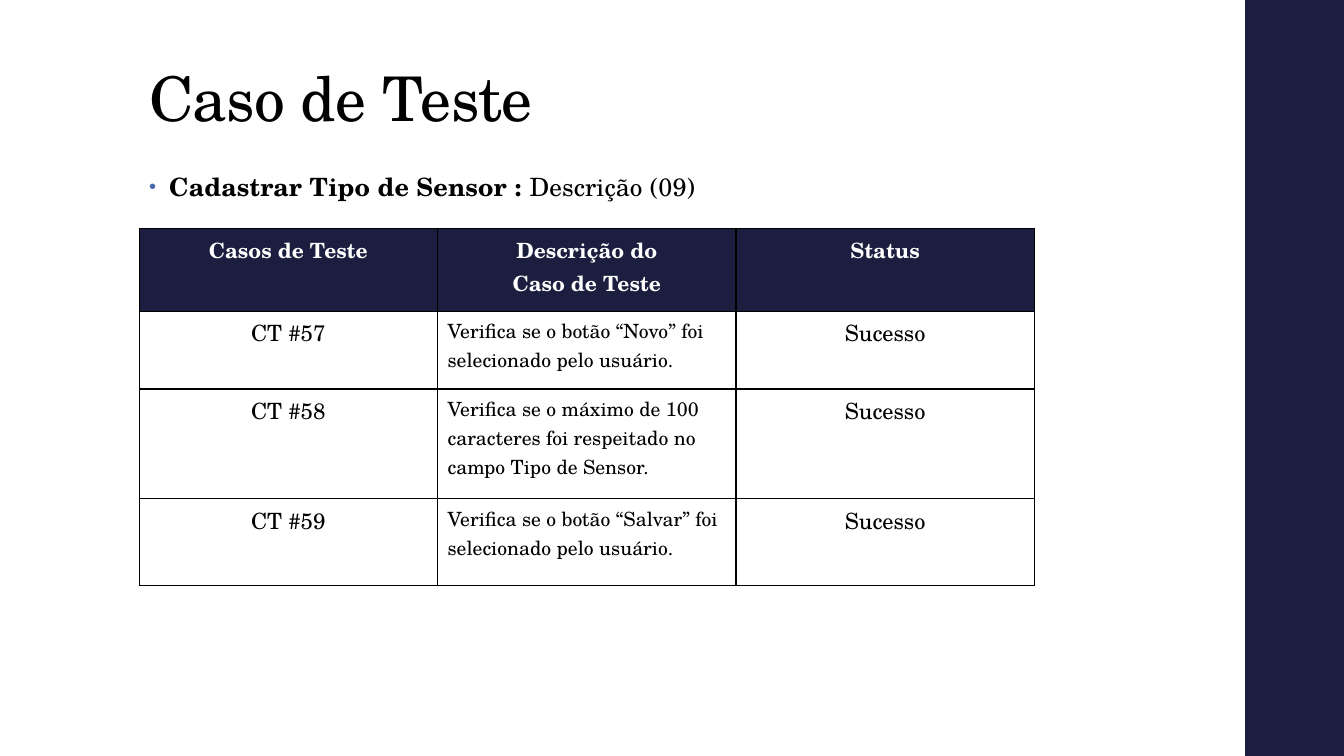
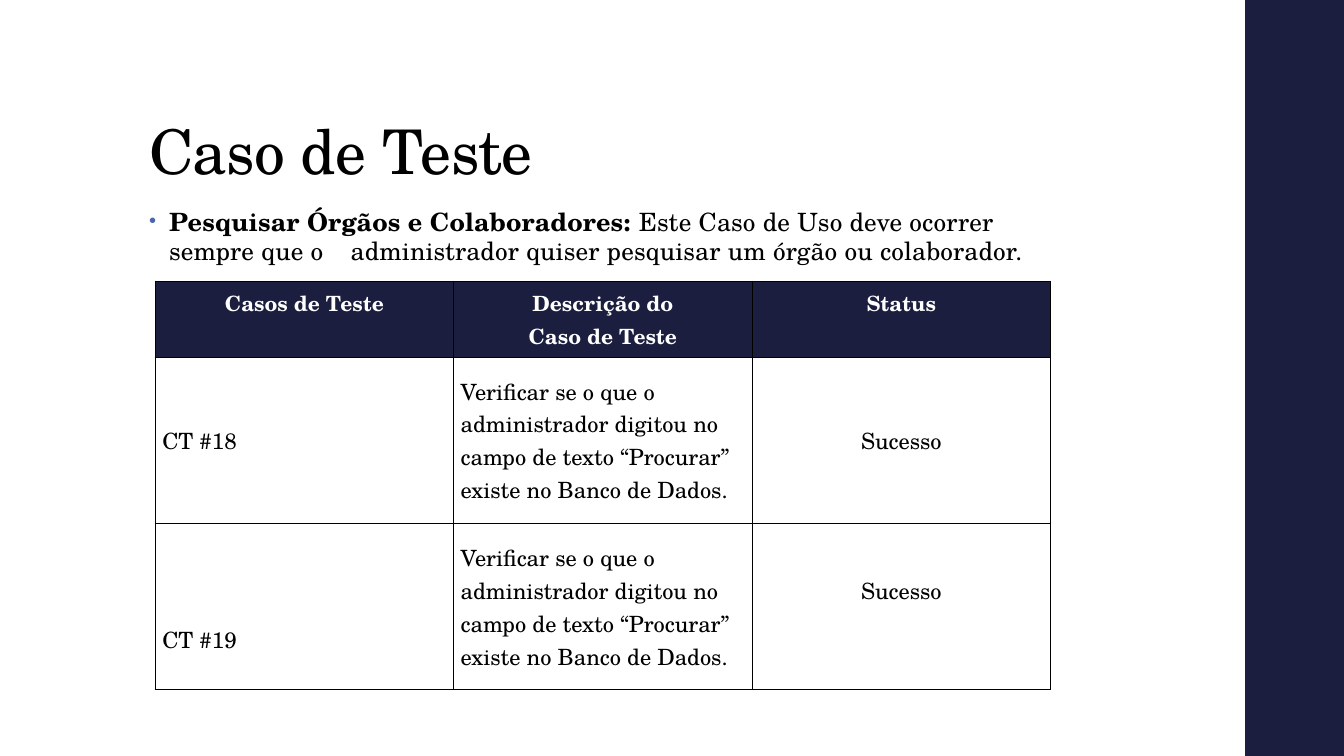
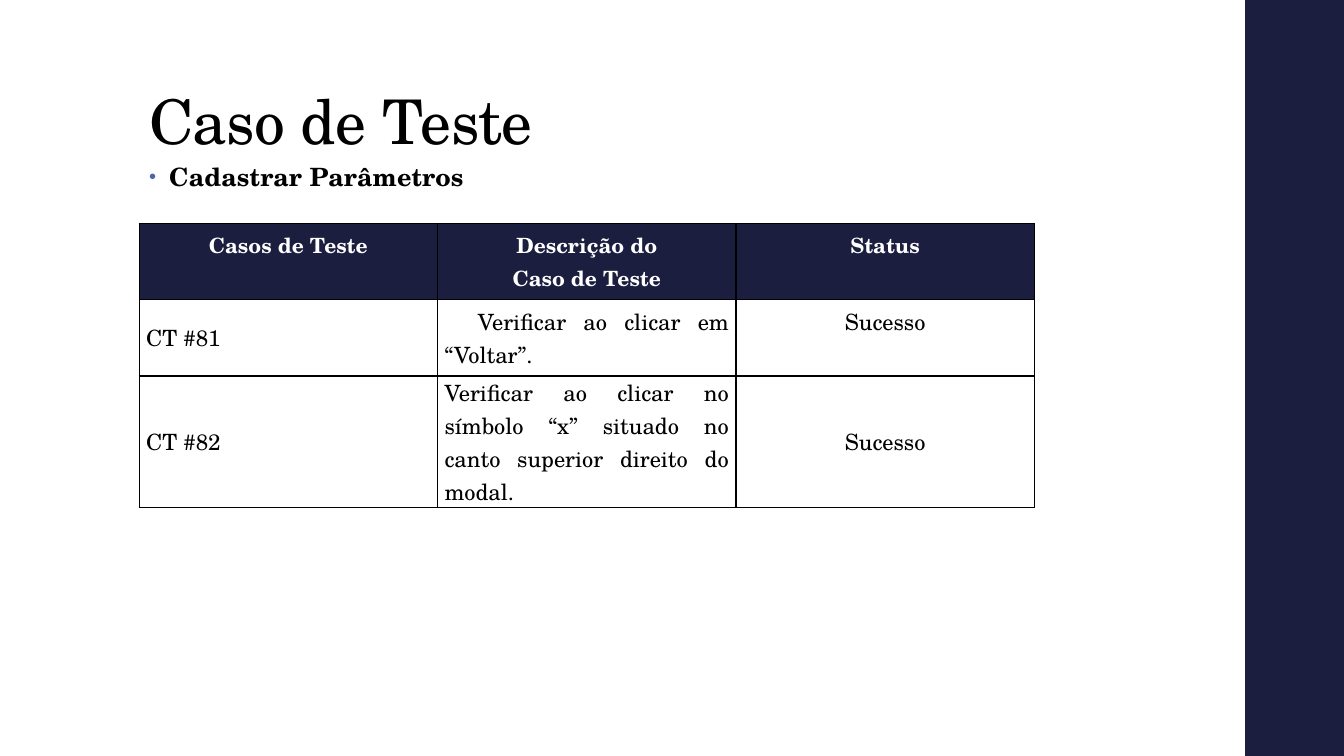
from pptx import Presentation
from pptx.util import Inches, Pt
from pptx.dml.color import RGBColor
from pptx.enum.shapes import MSO_SHAPE
from pptx.enum.text import MSO_ANCHOR as Anchor, PP_ALIGN as Align
from pptx.oxml import parse_xml
from pptx.oxml.ns import nsdecls

# Content
TITLE = "Caso de Teste"
HEAD = ["Casos de Teste", "Descrição do\nCaso de Teste", "Status"]
SEARCH = ("Verificar se o que o administrador digitou no campo de texto "
          "“Procurar” existe no Banco de Dados.")
OK = "Sucesso"
MID = {"mid": True}
SIDE = {"mid": True, "ins": (0.07, 0, 0.07, 0)}
BOTH = {**SIDE, "al": Align.JUSTIFY}
CENTER = {"al": Align.CENTER}
STATUS = {**CENTER, **MID}
RAISED = {**STATUS, "ins": (0.1, 0.05, 0.1, 0.38)}
LOWER = {**SIDE, "ins": (0.07, 0.65, 0.07, 0)}
NOTE = {"size": 14, "pitch": 20.7}

# Each cell is (text, style); "title" is top and height in inches
SLIDES = [
    {"title": (0.45, 0.88), "body": 1.66, "table": (1.38, 2.27),
     "lead": ("Cadastrar Tipo de Sensor : ", "Descrição (09)"),
     "heights": [0.82, 0.77, 1.09, 0.86],
     "rows": [
         [("CT #57", CENTER),
          ("Verifica se o botão “Novo” foi selecionado pelo usuário.", NOTE),
          (OK, CENTER)],
         [("CT #58", CENTER),
          ("Verifica se o máximo de 100 caracteres foi respeitado no "
           "campo Tipo de Sensor.", NOTE),
          (OK, CENTER)],
         [("CT #59", CENTER),
          ("Verifica se o botão “Salvar” foi selecionado pelo usuário.", NOTE),
          (OK, CENTER)]]},
    {"title": (0.4, 1.45), "body": 2, "table": (1.54, 2.79),
     "lead": ("Pesquisar Órgãos e Colaboradores: ",
              "Este Caso de Uso deve ocorrer sempre que o \tadministrador "
              "quiser pesquisar um órgão ou colaborador."),
     "heights": [0.75, 1.65, 1.65],
     "rows": [
         [("CT #18", SIDE), (SEARCH, SIDE), (OK, STATUS)],
         [("CT #19", LOWER), (SEARCH, SIDE), (OK, RAISED)]]},
    {"title": (0.11, 1.45), "body": 1.56, "table": (1.38, 2.22),
     "lead": ("Cadastrar Parâmetros",),
     "heights": [0.75, 0.75, 1.3],
     "rows": [
         [("CT #81", BOTH),
          ("Verificar ao clicar em “Voltar”.", {**BOTH, "indent": 0.33}),
          (OK, RAISED)],
         [("CT #82", BOTH),
          ("Verificar ao clicar no símbolo “x” situado no canto superior "
           "direito do modal.", BOTH),
          (OK, STATUS)]]},
]

# Shared look
COLORS = {"navy": "1B1E3E", "white": "FFFFFF", "black": "000000",
          "bullet": "4A66AC"}
FONT = "TeX Gyre Schola"
WIDE, HIGH = 13.33, 7.5
BAND, LEFT, COL = 12.35, 1.38, 2.96
HEADER = {**CENTER, "size": 15, "bold": True, "color": "white",
          "fill": "navy"}


def rgb(name):
    return RGBColor.from_string(COLORS[name])


def style(run, size, color="black", bold=False, gap=None):
    font = run.font
    font.name, font.size, font.bold = FONT, Pt(size), bold
    font.color.rgb = rgb(color)
    if gap is not None:
        run._r.get_or_add_rPr().set("spc", str(gap))


def add_box(slide, left, top, width, height):
    box = slide.shapes.add_textbox(*map(Inches, (left, top, width, height)))
    box.text_frame.word_wrap = True
    return box.text_frame


def add_band(slide):
    band = slide.shapes.add_shape(MSO_SHAPE.RECTANGLE, Inches(BAND), 0,
                                  Inches(1), Inches(HIGH))
    band.shadow.inherit = False
    band.fill.solid()
    band.fill.fore_color.rgb = rgb("navy")
    band.line.fill.background()


def add_title(slide, top, height):
    frame = add_box(slide, LEFT, top, 10.6, height)
    frame.vertical_anchor = Anchor.BOTTOM
    frame.margin_bottom = 0
    frame.text = TITLE
    para = frame.paragraphs[0]
    para.line_spacing = Pt(48)
    style(para.runs[0], 44, gap=-50)


def add_lead(slide, top, parts):
    para = add_box(slide, LEFT, top, 9.4, 4.76).paragraphs[0]
    para.line_spacing = Pt(21.1)
    para.space_after = Pt(2)
    props = para._p.get_or_add_pPr()
    props.set("marL", str(Inches(0.2)))
    props.set("indent", str(Inches(-0.2)))
    ns = nsdecls("a")
    for xml in (f'<a:buClr {ns}><a:srgbClr val="{COLORS["bullet"]}"/></a:buClr>',
                f'<a:buSzPct {ns} val="80000"/>',
                f'<a:buFont {ns} typeface="Arial"/>',
                f'<a:buChar {ns} char="•"/>'):
        props.append(parse_xml(xml))
    for i, text in enumerate(parts):
        run = para.add_run()
        run.text = text
        style(run, 18, bold=i == 0, gap=10)


def add_borders(cell):
    props = cell._tc.get_or_add_tcPr()
    for i, side in enumerate(("lnL", "lnR", "lnT", "lnB")):
        props.insert(i, parse_xml(
            f'<a:{side} {nsdecls("a")} w="12700"><a:solidFill>'
            f'<a:srgbClr val="{COLORS["black"]}"/></a:solidFill></a:{side}>'))


def fill_cell(cell, text, look):
    cell.fill.solid()
    cell.fill.fore_color.rgb = rgb(look.get("fill", "white"))
    add_borders(cell)
    cell.vertical_anchor = Anchor.MIDDLE if look.get("mid") else Anchor.TOP
    (cell.margin_left, cell.margin_top, cell.margin_right,
     cell.margin_bottom) = map(Inches, look.get("ins", (0.1, 0.05, 0.1, 0.05)))
    cell.text_frame.text = text
    for para in cell.text_frame.paragraphs:
        para.alignment = look.get("al", Align.LEFT)
        para.line_spacing = Pt(look.get("pitch", 23.5))
        if "indent" in look:
            para._p.get_or_add_pPr().set("indent", str(Inches(look["indent"])))
        for run in para.runs:
            style(run, look.get("size", 16), look.get("color", "black"),
                  look.get("bold", False))


def add_grid(slide, left, top, heights, rows):
    grid = [[(text, HEADER) for text in HEAD]] + rows
    table = slide.shapes.add_table(
        len(grid), len(HEAD), Inches(left), Inches(top),
        Inches(COL * len(HEAD)), Inches(sum(heights))).table
    for col in table.columns:
        col.width = Inches(COL)
    for r, (row, height) in enumerate(zip(grid, heights)):
        table.rows[r].height = Inches(height)
        for c, (text, look) in enumerate(row):
            fill_cell(table.cell(r, c), text, look)


def main():
    deck = Presentation()
    deck.slide_width, deck.slide_height = Inches(WIDE), Inches(HIGH)
    for item in SLIDES:
        slide = deck.slides.add_slide(deck.slide_layouts[6])
        add_band(slide)
        add_title(slide, *item["title"])
        add_lead(slide, item["body"], item["lead"])
        add_grid(slide, *item["table"], item["heights"], item["rows"])
    deck.save("out.pptx")


if __name__ == "__main__":
    main()
